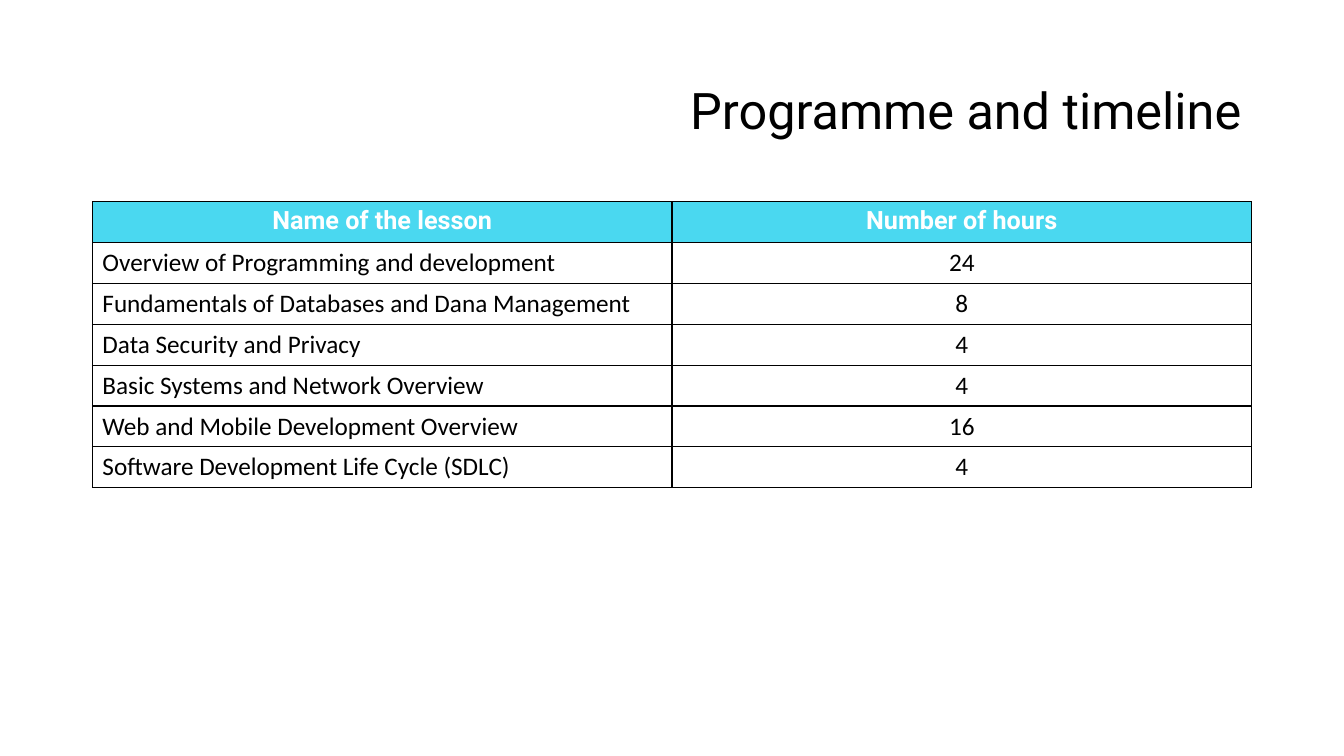
from lxml import etree
from pptx import Presentation
from pptx.dml.color import RGBColor
from pptx.enum.text import MSO_ANCHOR, PP_ALIGN
from pptx.oxml.ns import qn
from pptx.util import Pt

LEFT, CENTER, RIGHT = PP_ALIGN.LEFT, PP_ALIGN.CENTER, PP_ALIGN.RIGHT
MIDDLE = MSO_ANCHOR.MIDDLE

COLORS = {"text": "000000", "header_text": "FFFFFF", "header": "4AD8F0", "border": "000000"}
MARGIN, CONTENT_WIDTH = 66, 828
ROW_HEIGHT = 29.2

HEADER = ("Name of the lesson", "Number of hours")
LESSONS = [
    ("Overview of Programming and development", "24"),
    ("Fundamentals of Databases and Dana Management", "8"),
    ("Data Security and Privacy", "4"),
    ("Basic Systems and Network Overview", "4"),
    ("Web and Mobile Development Overview", "16"),
    ("Software Development Life Cycle (SDLC)", "4"),
]


def add_text(frame, text, font, size, color, align, bold=False):
    para = frame.paragraphs[0]
    para.alignment = align
    span = para.add_run()
    span.text = text
    span.font.name = font
    span.font.size = Pt(size)
    span.font.bold = bold
    span.font.color.rgb = RGBColor.from_string(COLORS[color])
    return para


def add_title(page, text):
    box = page.shapes.add_textbox(Pt(MARGIN), Pt(28.8), Pt(CONTENT_WIDTH), Pt(104.4))
    frame = box.text_frame
    frame.word_wrap = True
    frame.vertical_anchor = MIDDLE
    para = add_text(frame, text, "Roboto", 36, "text", RIGHT)
    para.line_spacing = 0.9


def set_borders(cell):
    """Draw a thin line on all four sides; borders must precede the fill."""
    properties = cell._tc.get_or_add_tcPr()
    for index, side in enumerate(("a:lnL", "a:lnR", "a:lnT", "a:lnB")):
        line = etree.Element(qn(side), w=str(Pt(1)))
        fill = etree.SubElement(line, qn("a:solidFill"))
        etree.SubElement(fill, qn("a:srgbClr"), val=COLORS["border"])
        properties.insert(index, line)


def fill_cell(cell, text, is_header, align):
    if is_header:
        cell.fill.solid()
        cell.fill.fore_color.rgb = RGBColor.from_string(COLORS["header"])
        add_text(cell.text_frame, text, "Roboto", 18, "header_text", CENTER, bold=True)
    else:
        cell.fill.background()
        add_text(cell.text_frame, text, "Calibri", 18, "text", align)
    set_borders(cell)


def add_lesson_table(page):
    rows = [HEADER, *LESSONS]
    frame = page.shapes.add_table(len(rows), len(HEADER), Pt(MARGIN), Pt(144),
                                  Pt(CONTENT_WIDTH), Pt(ROW_HEIGHT * len(rows)))
    table = frame.table
    table.horz_banding = False
    for row_index, row in enumerate(rows):
        table.rows[row_index].height = Pt(ROW_HEIGHT)
        for column, (text, align) in enumerate(zip(row, (LEFT, CENTER))):
            fill_cell(table.cell(row_index, column), text, row_index == 0, align)


def main():
    deck = Presentation()
    deck.slide_width, deck.slide_height = Pt(960), Pt(540)
    page = deck.slides.add_slide(deck.slide_layouts[6])
    add_title(page, "Programme and timeline")
    add_lesson_table(page)
    deck.save("out.pptx")


if __name__ == "__main__":
    main()
